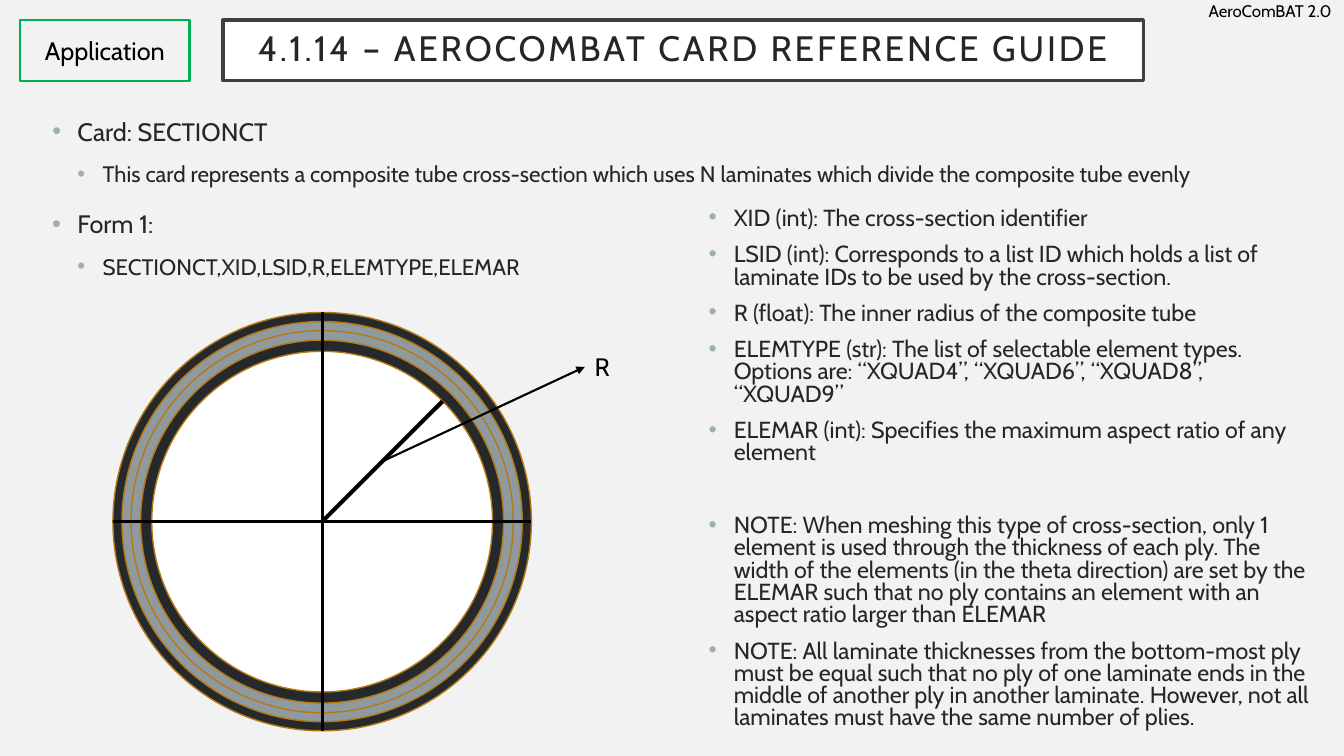
from dataclasses import dataclass

from lxml.etree import SubElement
from pptx import Presentation
from pptx.dml.color import RGBColor
from pptx.enum.shapes import MSO_CONNECTOR, MSO_SHAPE
from pptx.enum.text import MSO_ANCHOR, MSO_AUTO_SIZE, PP_ALIGN
from pptx.oxml.ns import qn
from pptx.shapes.autoshape import Shape
from pptx.shapes.connector import Connector
from pptx.slide import Slide
from pptx.text.text import _Paragraph as Paragraph
from pptx.util import Inches, Length, Pt

CELL = 0.1
FONT = "Cabin"
COLOURS = {
    "page": "F2F2F2", "text": "262626", "black": "000000", "white": "FFFFFF",
    "bullet": "9BAFB5", "title_edge": "404040", "application": "00B050",
    "dark_ply": "25292B", "light_ply": "8E9A9E", "ply_edge": "B67815",
}


@dataclass(frozen=True)
class Area:
    column: float
    row: float
    columns: float
    rows: float


@dataclass(frozen=True)
class Item:
    text: str
    size: float
    level: int = 0
    before: float = 10


@dataclass(frozen=True)
class ItemList:
    area: Area
    items: list[Item]
    spacing: float = 1.0


@dataclass(frozen=True)
class Ply:
    diameter: float
    fill: str


@dataclass(frozen=True)
class Segment:
    start: tuple[float, float]
    end: tuple[float, float]
    weight: float


CENTRE_COLUMN, CENTRE_ROW = 31.95, 51.75
PLIES = [
    Ply(41.5, "dark_ply"), Ply(39.7, "light_ply"), Ply(37.9, "light_ply"),
    Ply(36, "dark_ply"), Ply(33.8, "white"),
]
REACH = PLIES[0].diameter / 2
RADIUS_STEP = 11.95
CENTRE = (CENTRE_COLUMN, CENTRE_ROW)
RADIUS_MIDDLE = (CENTRE_COLUMN + RADIUS_STEP / 2, CENTRE_ROW - RADIUS_STEP / 2)
SEGMENTS = [
    Segment((CENTRE_COLUMN, CENTRE_ROW - REACH), (CENTRE_COLUMN, CENTRE_ROW + REACH), 2.25),
    Segment((CENTRE_COLUMN - REACH, CENTRE_ROW), (CENTRE_COLUMN + REACH, CENTRE_ROW), 2.25),
    Segment(CENTRE, (CENTRE_COLUMN + RADIUS_STEP, CENTRE_ROW - RADIUS_STEP), 3),
]
LISTS = [
    ItemList(Area(4.2, 11, 124.9, 11.4), [
        Item("Card: SECTIONCT", 18),
        Item("This card represents a composite tube cross-section which uses N laminates "
             "which divide the composite tube evenly", 16, 1),
    ]),
    ItemList(Area(4.2, 20.2, 66.6, 50.6), [
        Item("Form 1:", 18),
        Item("SECTIONCT,XID,LSID,R,ELEMTYPE,ELEMAR", 16, 1),
    ]),
    ItemList(Area(69.3, 20.2, 61.5, 54), [
        Item("XID (int): The cross-section identifier", 16.6),
        Item("LSID (int): Corresponds to a list ID which holds a list of laminate IDs "
             "to be used by the cross-section.", 16.6),
        Item("R (float): The inner radius of the composite tube", 16.6),
        Item("ELEMTYPE (str): The list of selectable element types. Options are: "
             "“XQUAD4”, “XQUAD6”, “XQUAD8”, “XQUAD9”", 16.6),
        Item("ELEMAR (int): Specifies the maximum aspect ratio of any element", 16.6),
        Item("NOTE: When meshing this type of cross-section, only 1 element is used through "
             "the thickness of each ply. The width of the elements (in the theta direction) "
             "are set by the ELEMAR such that no ply contains an element with an aspect "
             "ratio larger than ELEMAR", 16.6, before=36),
        Item("NOTE: All laminate thicknesses from the bottom-most ply must be equal such that "
             "no ply of one laminate ends in the middle of another ply in another laminate. "
             "However, not all laminates must have the same number of plies.", 16.6),
    ], 0.8),
]


def grid(count: float) -> Length:
    return Inches(count * CELL)


def place(area: Area) -> tuple[Length, Length, Length, Length]:
    return grid(area.column), grid(area.row), grid(area.columns), grid(area.rows)


def colour(name: str) -> RGBColor:
    return RGBColor.from_string(COLOURS[name])


def add_span(para: Paragraph, text: str, size: float, ink: str, tracking: float = 0) -> None:
    span = para.add_run()
    span.text = text
    span.font.name = FONT
    span.font.size = Pt(size)
    span.font.color.rgb = colour(ink)
    if tracking:
        span._r.get_or_add_rPr().set("spc", str(int(tracking * 100)))


def add_bullet(para: Paragraph, level: int) -> None:
    properties = para._p.get_or_add_pPr()
    properties.set("marL", str(Inches(0.25 * (level + 1))))
    properties.set("indent", str(Inches(-0.25)))
    tint = SubElement(properties, qn("a:buClr"))
    SubElement(tint, qn("a:srgbClr")).set("val", COLOURS["bullet"])
    SubElement(properties, qn("a:buFont")).set("typeface", "Arial")
    SubElement(properties, qn("a:buChar")).set("char", "•")


def add_item_list(page: Slide, item_list: ItemList) -> None:
    frame = page.shapes.add_textbox(*place(item_list.area)).text_frame
    frame.word_wrap = True
    for index, item in enumerate(item_list.items):
        para = frame.add_paragraph() if index else frame.paragraphs[0]
        para.level = item.level
        add_bullet(para, item.level)
        para.line_spacing = item_list.spacing
        para.space_before = Pt(item.before if index else 0)
        add_span(para, item.text, item.size, "text")


def add_label(page: Slide, area: Area, text: str, size: float) -> Shape:
    box = page.shapes.add_textbox(*place(area))
    box.text_frame.word_wrap = False
    box.text_frame.auto_size = MSO_AUTO_SIZE.SHAPE_TO_FIT_TEXT
    add_span(box.text_frame.paragraphs[0], text, size, "black")
    return box


def add_outlined(page: Slide, kind: MSO_SHAPE, area: Area, fill: str | None,
                 edge: str, weight: float) -> Shape:
    shape = page.shapes.add_shape(kind, *place(area))
    shape.shadow.inherit = False
    if fill:
        shape.fill.solid()
        shape.fill.fore_color.rgb = colour(fill)
    else:
        shape.fill.background()
    shape.line.color.rgb = colour(edge)
    shape.line.width = Pt(weight)
    return shape


def add_centred_text(shape: Shape, text: str, size: float, ink: str, tracking: float = 0) -> None:
    shape.text_frame.vertical_anchor = MSO_ANCHOR.MIDDLE
    shape.text_frame.word_wrap = True
    para = shape.text_frame.paragraphs[0]
    para.alignment = PP_ALIGN.CENTER
    add_span(para, text, size, ink, tracking)


def add_segment(page: Slide, segment: Segment) -> Connector:
    ends = [grid(count) for count in (*segment.start, *segment.end)]
    connector = page.shapes.add_connector(MSO_CONNECTOR.STRAIGHT, *ends)
    connector.line.color.rgb = colour("black")
    connector.line.width = Pt(segment.weight)
    SubElement(connector._element.spPr, qn("a:effectLst"))
    return connector


def add_tube(page: Slide) -> None:
    for ply in PLIES:
        area = Area(CENTRE_COLUMN - ply.diameter / 2, CENTRE_ROW - ply.diameter / 2,
                    ply.diameter, ply.diameter)
        add_outlined(page, MSO_SHAPE.OVAL, area, ply.fill, "ply_edge", 1)
    for segment in SEGMENTS:
        add_segment(page, segment)
    radius_label = add_label(page, Area(58, 34.4, 3.5, 4), "R", 18)
    arrow = add_segment(page, Segment(RADIUS_MIDDLE, (58, 36.4), 1.5))
    arrow.end_connect(radius_label, 1)
    outline = arrow._element.spPr.find(qn("a:ln"))
    SubElement(outline, qn("a:tailEnd")).set("type", "triangle")


def main() -> None:
    deck = Presentation()
    deck.slide_width, deck.slide_height = Inches(13.33), Inches(7.5)
    page = deck.slides.add_slide(deck.slide_layouts[6])
    page.background.fill.solid()
    page.background.fill.fore_color.rgb = colour("page")
    version = add_label(page, Area(118.9, 0, 14.4, 2.6), "AeroComBAT 2.0", 12)
    version.text_frame.margin_top = grid(0.1)
    title = add_outlined(page, MSO_SHAPE.RECTANGLE, Area(22.1, 2, 91.3, 6), "white", "title_edge", 2.5)
    add_centred_text(title, "4.1.14 – AEROCOMBAT CARD REFERENCE GUIDE", 25.2, "text", 2)
    title.text_frame.paragraphs[0].line_spacing = 0.9
    button = add_outlined(page, MSO_SHAPE.RECTANGLE, Area(2, 2, 16.8, 6), None, "application", 1.5)
    add_centred_text(button, "Application", 18, "black")
    for item_list in LISTS:
        add_item_list(page, item_list)
    add_tube(page)
    deck.save("out.pptx")


if __name__ == "__main__":
    main()
